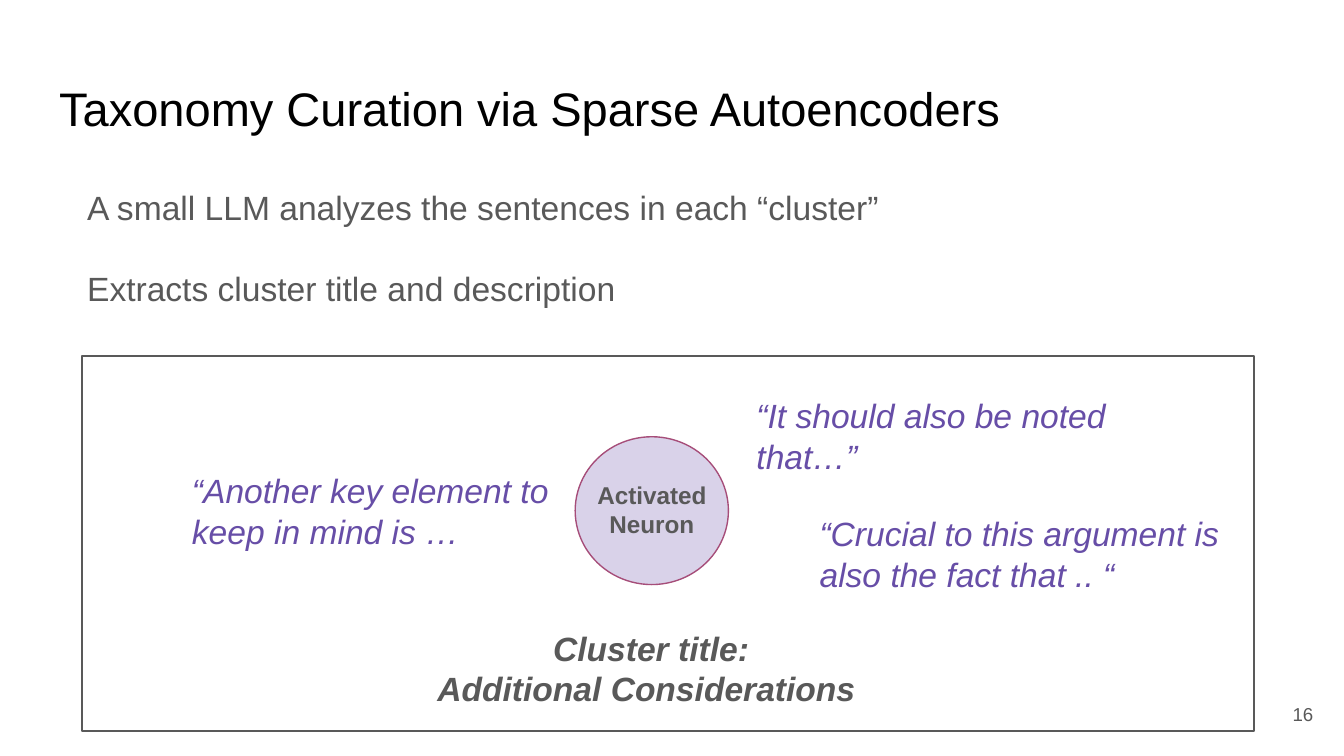
from pptx import Presentation
from pptx import util as u
from pptx.dml.color import RGBColor
from pptx.enum import shapes, text

COLOURS = {
    "black": "000000",
    "grey": "595959",
    "purple": "674EA7",
    "lavender": "D9D2E9",
    "plum": "A64D79",
}


def colour(name):
    return RGBColor.from_string(COLOURS[name])


def write(box, lines, size=18, ink="grey", bold=False, italic=False,
          align=text.PP_ALIGN.LEFT, anchor=text.MSO_ANCHOR.TOP, gap=0):
    """Fill a box with one paragraph per line; gap is the space between them."""
    frame = box.text_frame
    frame.word_wrap = True
    frame.auto_size = text.MSO_AUTO_SIZE.NONE
    frame.vertical_anchor = anchor
    frame.margin_left = frame.margin_right = u.Inches(0.1)
    frame.margin_top = frame.margin_bottom = u.Inches(0.1)
    for number, line in enumerate(lines):
        para = frame.add_paragraph() if number else frame.paragraphs[0]
        para.alignment = align
        para.space_before = u.Pt(gap if number else 0)
        span = para.add_run()
        span.text = line
        span.font.name = "Arial"
        span.font.size = u.Pt(size)
        span.font.bold = bold
        span.font.italic = italic
        span.font.color.rgb = colour(ink)


class SlideBuilder:
    def __init__(self, page):
        self.page = page

    def title(self, line, *place):
        box = self.page.shapes.title
        box.left, box.top, box.width, box.height = map(u.Inches, place)
        write(box, [line], size=25.2, ink="black")

    def label(self, lines, *place, **style):
        box = self.page.shapes.add_textbox(*map(u.Inches, place))
        write(box, lines, **style)

    def outline(self, kind, line, *place, fill=None):
        shape = self.page.shapes.add_shape(kind, *map(u.Inches, place))
        shape.shadow.inherit = False
        if fill:
            shape.fill.solid()
            shape.fill.fore_color.rgb = colour(fill)
        else:
            shape.fill.background()
        shape.line.color.rgb = colour(line)
        shape.line.width = u.Pt(0.75)


def main():
    # Widescreen page, 16 to 9
    deck = Presentation()
    deck.slide_width = u.Inches(10)
    deck.slide_height = u.Inches(10) * 9 // 16
    slide = SlideBuilder(deck.slides.add_slide(deck.slide_layouts[5]))
    centre = text.PP_ALIGN.CENTER

    # Frame around the example cluster
    slide.outline(shapes.MSO_SHAPE.RECTANGLE, "grey", 0.61, 2.65, 8.72, 2.79)

    # Title, page number and main points
    slide.title("Taxonomy Curation via Sparse Autoencoders", 0.34, 0.49, 9.32, 0.63)
    slide.label(["16"], 9.27, 5.1, 0.6, 0.43, size=10,
                align=text.PP_ALIGN.RIGHT, anchor=text.MSO_ANCHOR.MIDDLE)
    slide.label(["A small LLM analyzes the sentences in each “cluster”",
                 "Extracts cluster title and description"],
                0.55, 1.29, 8.72, 1.44, gap=21.6)

    # Neuron
    slide.outline(shapes.MSO_SHAPE.OVAL, "plum", 4.28, 3.25, 1.14, 1.1, fill="lavender")

    # Sentences that activate the neuron
    quotes = [
        ("“Another key element to keep in mind is …", 1.33, 3.4, 3.01, 0.42),
        ("“It should also be noted that…”", 5.53, 2.84, 3.01, 0.42),
        ("“Crucial to this argument is also the fact that .. “", 6, 3.72, 3.53, 0.53),
    ]
    for quote, *place in quotes:
        slide.label([quote], *place, ink="purple", italic=True)

    # Cluster title and neuron label
    slide.label(["Cluster title:", "Additional Considerations "],
                2.92, 4.57, 3.85, 0.53, bold=True, italic=True, align=centre)
    slide.label(["Activated Neuron"], 4.28, 3.47, 1.14, 0.68,
                size=13, bold=True, align=centre)

    deck.save("out.pptx")


if __name__ == "__main__":
    main()
